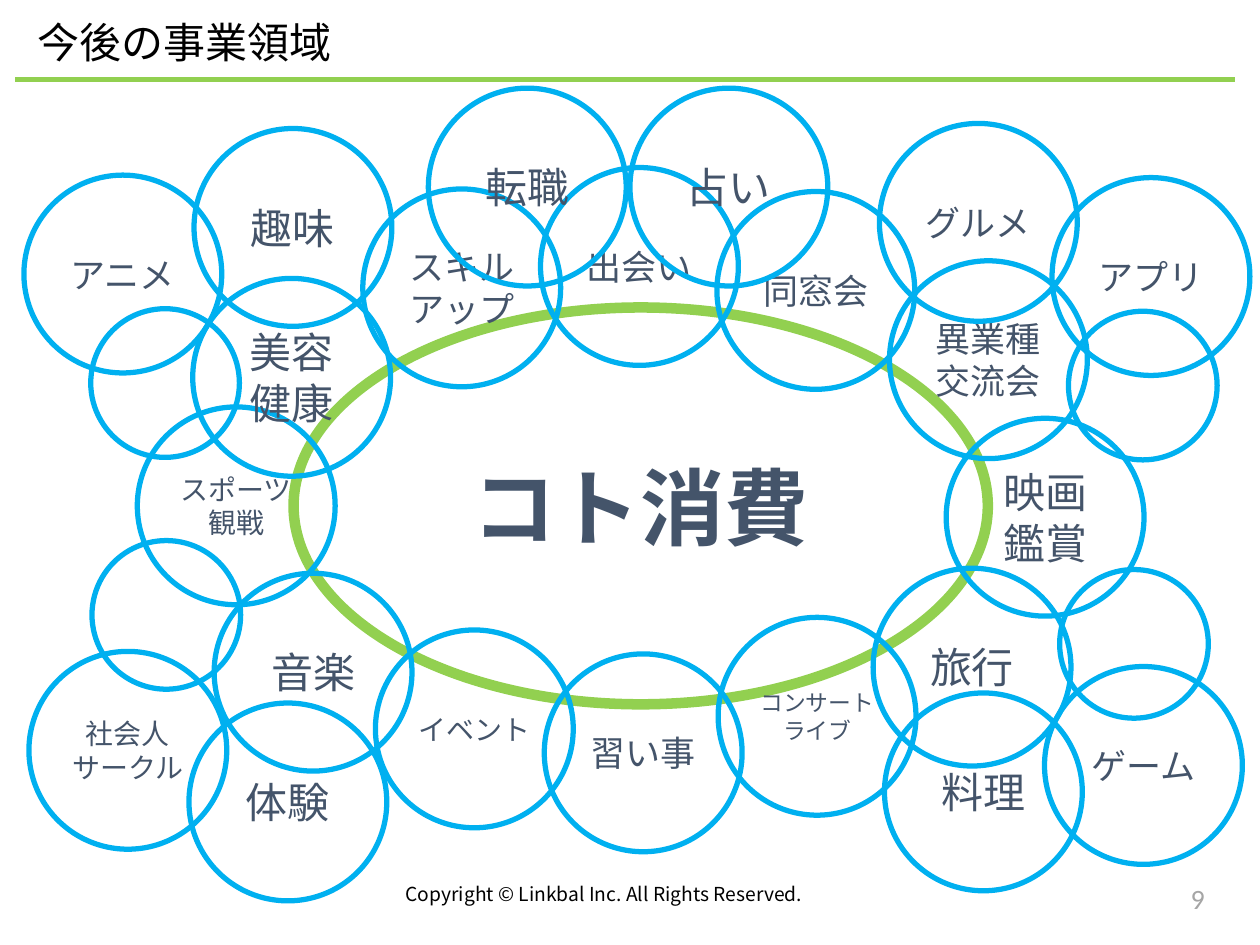
from dataclasses import dataclass

from lxml import etree
from pptx import Presentation
from pptx import util as u
from pptx.dml.color import RGBColor
from pptx.enum import shapes, text
from pptx.oxml.ns import qn

GREEN = RGBColor(0x92, 0xD0, 0x50)
BLUE = RGBColor(0x00, 0xB0, 0xF0)
SLATE = RGBColor(0x44, 0x54, 0x6A)
GRAY = RGBColor(0xA5, 0xA5, 0xA5)
BLACK = RGBColor(0x00, 0x00, 0x00)
CJK = "Noto Sans CJK JP"

COLS, ROWS = 100, 75
LARGE, SMALL = 15.7, 11.8

prs = Presentation()
prs.slide_width, prs.slide_height = u.Inches(10), u.Inches(7.5)
s = prs.slides.add_slide(prs.slide_layouts[6])


@dataclass(frozen=True)
class Style:
    size: float
    color: RGBColor = SLATE
    font: str = CJK
    bold: bool = False
    align: text.PP_ALIGN = text.PP_ALIGN.CENTER
    anchor: text.MSO_ANCHOR = text.MSO_ANCHOR.MIDDLE


@dataclass(frozen=True)
class Ring:
    col: float
    row: float
    label: str = ""
    size: float = 24
    width: float = LARGE
    height: float = LARGE
    color: RGBColor = BLUE
    weight: float = 3
    bold: bool = False


@dataclass(frozen=True)
class Caption:
    col: float
    row: float
    width: float
    height: float
    label: str
    style: Style


RINGS = [
    Ring(23.3, 24.4, "コト消費", 48, 55.1, 31.5, GREEN, 6, True),
    Ring(69.3, 45.1, "旅行"),
    Ring(15, 55.8, "体験"),
    Ring(15.4, 10.2, "趣味"),
    Ring(10.9, 32.3, "スポーツ\n観戦", 16),
    Ring(43.2, 51.9, "習い事", 20),
    Ring(57, 49, "コンサート\nライブ", 13),
    Ring(75.1, 33.2, "映画\n鑑賞"),
    Ring(29.8, 50, "イベント", 16),
    Ring(28.8, 15, "スキルアップ", 20),
    Ring(42.9, 13.3, "出会い", 20),
    Ring(56.9, 15.2, "同窓会", 20),
    Ring(70.6, 20.7, "異業種交流会", 20),
    Ring(69.8, 9.8, "グルメ", 20),
    Ring(17, 45.5, "音楽"),
    Ring(70.2, 55, "料理"),
    Ring(15.3, 22.1, "美容\n健康"),
    Ring(7.2, 24.5, width=SMALL, height=SMALL),
    Ring(84.8, 24.7, width=SMALL, height=SMALL),
    Ring(84.1, 45.2, width=SMALL, height=SMALL),
    Ring(7.3, 42.9, width=SMALL, height=SMALL),
    Ring(50, 7, "占い"),
    Ring(34, 7, "転職"),
    Ring(2.3, 51.7, "社会人サークル", 16),
    Ring(82.9, 52.9, "ゲーム", 20),
    Ring(1.9, 13.9, "アニメ", 20),
    Ring(83.5, 14.1, "アプリ", 20),
]

PAGE_NUMBER = Caption(74.1, 69.5, 22.5, 4, "9", Style(
    16, GRAY, "Calibri", align=text.PP_ALIGN.RIGHT, anchor=text.MSO_ANCHOR.TOP))
COPYRIGHT = Caption(31.2, 69.5, 39.3, 4, "Copyright © Linkbal Inc. All Rights Reserved.", Style(
    11, BLACK, align=text.PP_ALIGN.LEFT, anchor=text.MSO_ANCHOR.TOP))
TITLE = Caption(2, 0.8, 82.7, 5, "今後の事業領域", Style(
    24, BLACK, align=text.PP_ALIGN.JUSTIFY))


def x(cols: float) -> int:
    return round(prs.slide_width * cols / COLS)


def y(rows: float) -> int:
    return round(prs.slide_height * rows / ROWS)


def write(sp, label: str, style: Style) -> None:
    tf = sp.text_frame
    tf.word_wrap = True
    tf.vertical_anchor = style.anchor
    tf.text = label
    for p in tf.paragraphs:
        p.alignment = style.align
        p.font.size = u.Pt(style.size)
        p.font.bold = style.bold
        p.font.color.rgb = style.color
        p.font.name = style.font
        props = p._p.pPr.find(qn("a:defRPr"))
        etree.SubElement(props, qn("a:ea")).set("typeface", style.font)


def draw_caption(c: Caption) -> None:
    sp = s.shapes.add_textbox(x(c.col), y(c.row), x(c.width), y(c.height))
    write(sp, c.label, c.style)


def draw_ring(ring: Ring) -> None:
    sp = s.shapes.add_shape(shapes.MSO_SHAPE.OVAL, x(ring.col), y(ring.row),
                            x(ring.width), y(ring.height))
    sp.shadow.inherit = False
    sp.fill.background()
    sp.line.color.rgb = ring.color
    sp.line.width = u.Pt(ring.weight)
    if ring.label:
        write(sp, ring.label, Style(ring.size, bold=ring.bold))


def draw_rule(start: float, end: float, row: float) -> None:
    line = s.shapes.add_connector(shapes.MSO_CONNECTOR.STRAIGHT,
                                  x(start), y(row), x(end), y(row))
    line.line.color.rgb = GREEN
    line.line.width = u.Pt(2.83)
    etree.SubElement(line._element.spPr, qn("a:effectLst"))


def main() -> None:
    draw_caption(PAGE_NUMBER)
    draw_rule(1.2, 98, 6.3)
    draw_caption(COPYRIGHT)
    for ring in RINGS:
        draw_ring(ring)
    draw_caption(TITLE)
    prs.save("out.pptx")


if __name__ == "__main__":
    main()
